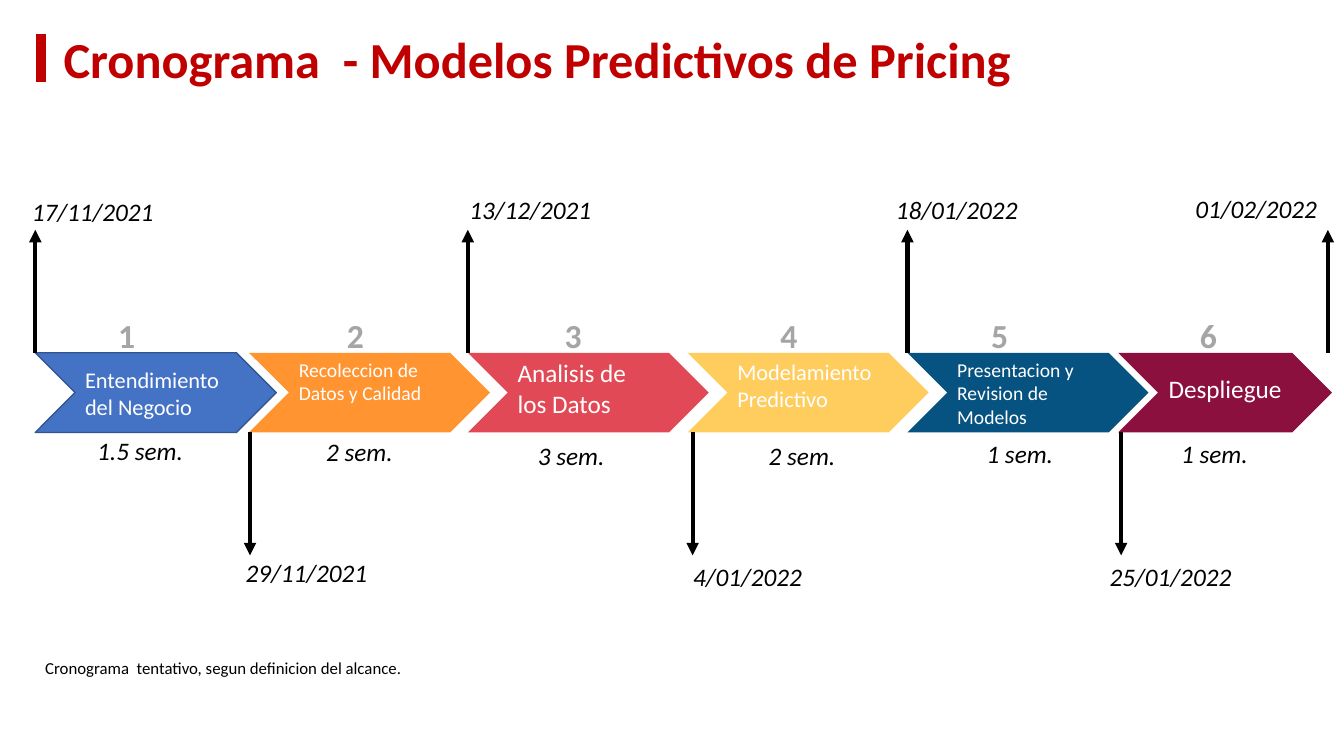
from typing import NamedTuple, Optional

from lxml import etree
from pptx import Presentation
from pptx.dml.color import RGBColor
from pptx.enum import shapes, text
from pptx.oxml import ns
from pptx.util import Inches, Pt

FONT = "Calibri"
RED = RGBColor(0xC0, 0x00, 0x00)
WHITE = RGBColor(0xFF, 0xFF, 0xFF)
BLACK = RGBColor(0x00, 0x00, 0x00)
GRAY = RGBColor(0xA5, 0xA5, 0xA5)
BLUE = RGBColor(0x44, 0x72, 0xC4)
DARK_BLUE = RGBColor(0x32, 0x54, 0x91)
ORANGE = RGBColor(0xFF, 0x94, 0x30)
CORAL = RGBColor(0xE2, 0x49, 0x56)
YELLOW = RGBColor(0xFF, 0xCC, 0x5E)
NAVY = RGBColor(0x06, 0x52, 0x80)
WINE = RGBColor(0x8C, 0x10, 0x3D)

LEFT, CENTER, JUSTIFY = text.PP_ALIGN.LEFT, text.PP_ALIGN.CENTER, text.PP_ALIGN.JUSTIFY
TOP, MIDDLE = text.MSO_ANCHOR.TOP, text.MSO_ANCHOR.MIDDLE
BAND_TOP, BAND_HEIGHT, ARROW_LENGTH = 3.5, 0.79, 1.22


class Phase(NamedTuple):
    name: str
    left: float
    fill: RGBColor
    size: int
    number_left: float
    duration: str
    duration_left: float
    duration_top: float
    duration_width: float = 0.87
    width: float = 2.39
    align: text.PP_ALIGN = LEFT
    anchor: text.MSO_ANCHOR = TOP
    spacing: float = 1.0
    outline: Optional[RGBColor] = None


class Milestone(NamedTuple):
    date: str
    x: float
    upward: bool
    date_left: float
    date_top: float
    date_width: float = 1.42


PHASES = [
    Phase("Entendimiento del Negocio", 0.35, BLUE, 16, 1, "1.5 sem.", 0.86, 4.27,
          duration_width=1.06, align=JUSTIFY, anchor=MIDDLE, outline=DARK_BLUE),
    Phase("Recoleccion de Datos y Calidad", 2.47, ORANGE, 14, 3.27, "2 sem.", 3.13, 4.28),
    Phase("Analisis de los Datos", 4.64, CORAL, 18, 5.43, "3 sem.", 5.23, 4.32),
    Phase("Modelamiento Predictivo", 6.82, YELLOW, 16, 7.57, "2 sem.", 7.52, 4.32,
          align=JUSTIFY),
    Phase("Presentacion y Revision de Modelos", 9, NAVY, 14, 9.66, "1 sem.", 9.68, 4.3),
    Phase("Despliegue", 11.09, WINE, 18, 11.73, "1 sem.", 11.61, 4.3,
          width=2.12, align=CENTER, spacing=1.5),
]

MILESTONES = [
    Milestone("17/11/2021", 0.35, True, 0.21, 1.9),
    Milestone("29/11/2021", 2.48, False, 2.33, 5.48),
    Milestone("13/12/2021", 4.64, True, 4.55, 1.88),
    Milestone("4/01/2022", 6.87, False, 6.77, 5.52, 1.29),
    Milestone("18/01/2022", 9, True, 8.78, 1.88),
    Milestone("25/01/2022", 11.12, False, 10.9, 5.52),
    Milestone("01/02/2022", 13.17, True, 11.75, 1.87),
]


def write(frame, content: str, size: int, color: RGBColor, align=LEFT,
          bold: bool = False, italic: bool = False) -> None:
    """Fill a text frame with one formatted paragraph."""
    frame.text = content
    paragraph = frame.paragraphs[0]
    paragraph.alignment = align
    font = paragraph.font
    font.name, font.size = FONT, Pt(size)
    font.bold, font.italic = bold, italic
    font.color.rgb = color


def add_label(slide, content: str, left: float, top: float, width: float, height: float,
              size: int, color: RGBColor, wrap: bool = False, **style) -> None:
    """Add a text box holding one line of text."""
    label = slide.shapes.add_textbox(Inches(left), Inches(top), Inches(width), Inches(height))
    label.text_frame.word_wrap = wrap
    write(label.text_frame, content, size, color, **style)


def add_block(slide, kind, left: float, top: float, width: float, height: float,
              fill: RGBColor, outline: Optional[RGBColor]):
    """Add a filled preset shape, outlined when a colour is given."""
    block = slide.shapes.add_shape(
        kind, Inches(left), Inches(top), Inches(width), Inches(height))
    block.shadow.inherit = False
    block.fill.solid()
    block.fill.fore_color.rgb = fill
    if outline is None:
        block.line.fill.background()
    else:
        block.line.color.rgb = outline
        block.line.width = Pt(1)
    return block


def add_phase(slide, number: int, phase: Phase) -> None:
    """Add a phase chevron with its number above and duration below."""
    chevron = add_block(slide, shapes.MSO_SHAPE.CHEVRON, phase.left, BAND_TOP,
                        phase.width, BAND_HEIGHT, phase.fill, phase.outline)
    frame = chevron.text_frame
    frame.word_wrap = True
    frame.vertical_anchor = phase.anchor
    write(frame, phase.name, phase.size, WHITE, phase.align)
    frame.paragraphs[0].line_spacing = phase.spacing
    add_label(slide, str(number), phase.number_left, 3.08, 0.51, 0.5, 24, GRAY,
              wrap=True, align=CENTER, bold=True)
    add_label(slide, phase.duration, phase.duration_left, phase.duration_top,
              phase.duration_width, 0.4, 18, BLACK, align=CENTER, italic=True)


def add_milestone(slide, milestone: Milestone) -> None:
    """Add an arrow leaving the phase band and the date it points to."""
    start = BAND_TOP if milestone.upward else BAND_TOP + BAND_HEIGHT
    end = start - ARROW_LENGTH if milestone.upward else start + ARROW_LENGTH
    arrow = slide.shapes.add_connector(
        shapes.MSO_CONNECTOR.STRAIGHT,
        Inches(milestone.x), Inches(start), Inches(milestone.x), Inches(end))
    arrow.line.color.rgb = BLACK
    arrow.line.width = Pt(3)
    etree.SubElement(arrow.line._get_or_add_ln(), ns.qn("a:tailEnd"), type="triangle")
    etree.SubElement(arrow._element.spPr, ns.qn("a:effectLst"))
    add_label(slide, milestone.date, milestone.date_left, milestone.date_top,
              milestone.date_width, 0.4, 18, BLACK, align=CENTER, italic=True)


def add_heading(slide) -> None:
    """Place the title and the red bar beside it."""
    title = slide.shapes.title
    title.left, title.top = Inches(0.53), Inches(0.22)
    title.width, title.height = Inches(12.43), Inches(0.71)
    title.text_frame.auto_size = text.MSO_AUTO_SIZE.NONE
    title.text_frame.vertical_anchor = MIDDLE
    write(title.text_frame, "Cronograma  - Modelos Predictivos de Pricing", 36, RED, bold=True)
    add_block(slide, shapes.MSO_SHAPE.RECTANGLE, 0.35, 0.33, 0.11, 0.49, RED, WHITE)


def main() -> None:
    """Build the schedule slide and save it."""
    deck = Presentation()
    deck.slide_width, deck.slide_height = Inches(13.33), Inches(7.5)
    slide = deck.slides.add_slide(deck.slide_layouts.get_by_name("Title Only"))
    add_heading(slide)
    for number, phase in enumerate(PHASES, start=1):
        add_phase(slide, number, phase)
    for milestone in MILESTONES:
        add_milestone(slide, milestone)
    add_label(slide, "Cronograma  tentativo, segun definicion del alcance.",
              0.35, 6.48, 4.06, 0.3, 12, BLACK, wrap=True)
    deck.save("out.pptx")


main()
